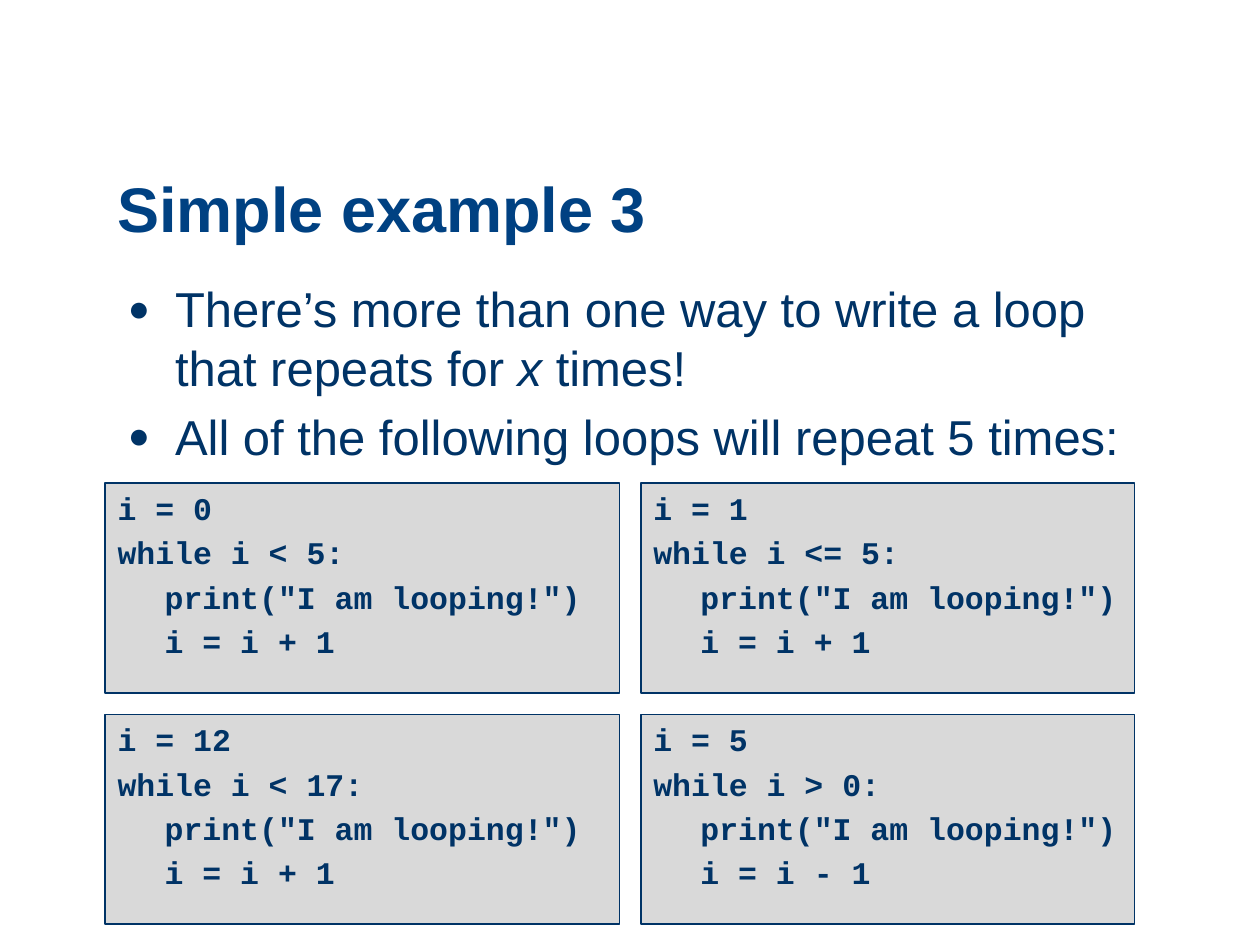
from dataclasses import dataclass

from lxml import etree
from pptx import Presentation
from pptx.dml.color import RGBColor
from pptx.enum.shapes import MSO_SHAPE
from pptx.enum.text import MSO_ANCHOR, PP_ALIGN
from pptx.oxml.ns import qn
from pptx.util import Cm, Pt

RECTANGLE = MSO_SHAPE.RECTANGLE
TOP, BOTTOM = MSO_ANCHOR.TOP, MSO_ANCHOR.BOTTOM
LEFT = PP_ALIGN.LEFT


@dataclass(frozen=True)
class Style:
    font: str
    size: int
    color: str
    bold: bool = False


@dataclass(frozen=True)
class Theme:
    title: Style = Style("Arial", 36, "004182", bold=True)
    body: Style = Style("Arial", 28, "003366")
    code: Style = Style("Courier New", 18, "003366", bold=True)
    panel_fill: str = "D9D9D9"
    panel_line: str = "003366"


@dataclass(frozen=True)
class Box:
    """Position and size in centimetres."""
    left: float
    top: float
    width: float
    height: float

    def lengths(self) -> tuple:
        return Cm(self.left), Cm(self.top), Cm(self.width), Cm(self.height)


@dataclass(frozen=True)
class Loop:
    start: str
    condition: str
    step: str

    def lines(self) -> list[str]:
        return [self.start, f"while {self.condition}:",
                '\tprint("I am looping!")', f"\t{self.step}"]


THEME = Theme()
HANGING = Cm(0.95)
TITLE_BOX = Box(2.12, 2.75, 22.01, 2.33)
BODY_BOX = Box(2.33, 5.5, 21.37, 11.4)
GRID_LEFT, GRID_TOP, GRID_GAP = 2.12, 9.74, 0.43
COLUMN_WIDTHS = (10.37, 9.95)
PANEL_HEIGHT = 4.23

# Each bullet is a list of (text, italic) parts.
BULLETS = [
    [("There’s more than one way to write a loop that repeats for ", False),
     ("x", True), (" times!", False)],
    [("All of the following loops will repeat 5 times:", False)],
]
LOOPS = [
    [Loop("i = 0", "i < 5", "i = i + 1"), Loop("i = 1", "i <= 5", "i = i + 1")],
    [Loop("i = 12", "i < 17", "i = i + 1"), Loop("i = 5", "i > 0", "i = i - 1")],
]


def style_runs(paragraph, style: Style) -> None:
    for run in paragraph.runs:
        run.font.name = style.font
        run.font.size = Pt(style.size)
        run.font.bold = style.bold
        run.font.color.rgb = RGBColor.from_string(style.color)


def set_hanging(paragraph, bullet_color: str | None = None) -> None:
    """Hanging indent, 20 % space before and, if coloured, a round bullet."""
    properties = paragraph._p.get_or_add_pPr()
    properties.set("marL", str(HANGING))
    properties.set("indent", str(-HANGING))
    before = etree.SubElement(properties, qn("a:spcBef"))
    etree.SubElement(before, qn("a:spcPct"), val="20000")
    if bullet_color:
        color = etree.SubElement(properties, qn("a:buClr"))
        etree.SubElement(color, qn("a:srgbClr"), val=bullet_color)
        etree.SubElement(properties, qn("a:buSzPct"), val="75000")
        etree.SubElement(properties, qn("a:buFont"), typeface="Arial")
        etree.SubElement(properties, qn("a:buChar"), char="●")


def add_text_frame(slide, box: Box, anchor=TOP):
    frame = slide.shapes.add_textbox(*box.lengths()).text_frame
    frame.word_wrap = True
    frame.vertical_anchor = anchor
    return frame


def add_title(slide, title: str) -> None:
    frame = add_text_frame(slide, TITLE_BOX, BOTTOM)
    frame.text = title
    paragraph = frame.paragraphs[0]
    paragraph.line_spacing = 0.9
    style_runs(paragraph, THEME.title)


def add_bullets(slide, bullets: list) -> None:
    frame = add_text_frame(slide, BODY_BOX)
    for index, parts in enumerate(bullets):
        paragraph = frame.add_paragraph() if index else frame.paragraphs[0]
        set_hanging(paragraph, THEME.body.color)
        for text, italic in parts:
            run = paragraph.add_run()
            run.text = text
            run.font.italic = italic
        style_runs(paragraph, THEME.body)


def add_code_panel(slide, box: Box, loop: Loop) -> None:
    panel = slide.shapes.add_shape(RECTANGLE, *box.lengths())
    panel.shadow.inherit = False
    panel.fill.solid()
    panel.fill.fore_color.rgb = RGBColor.from_string(THEME.panel_fill)
    panel.line.color.rgb = RGBColor.from_string(THEME.panel_line)
    panel.line.width = Pt(0.75)
    frame = panel.text_frame
    frame.word_wrap = True
    frame.vertical_anchor = TOP
    frame.text = "\n".join(loop.lines())
    for paragraph in frame.paragraphs:
        paragraph.alignment = LEFT
        set_hanging(paragraph)
        style_runs(paragraph, THEME.code)


def add_code_grid(slide, loops: list[list[Loop]]) -> None:
    for row, row_loops in enumerate(loops):
        top = GRID_TOP + row * (PANEL_HEIGHT + GRID_GAP)
        left = GRID_LEFT
        for width, loop in zip(COLUMN_WIDTHS, row_loops):
            add_code_panel(slide, Box(left, top, width, PANEL_HEIGHT), loop)
            left += width + GRID_GAP


def main() -> None:
    presentation = Presentation()
    presentation.slide_width, presentation.slide_height = Cm(25.4), Cm(19.05)
    slide = presentation.slides.add_slide(presentation.slide_layouts[6])
    add_title(slide, "Simple example 3")
    add_bullets(slide, BULLETS)
    add_code_grid(slide, LOOPS)
    presentation.save("out.pptx")


if __name__ == "__main__":
    main()
